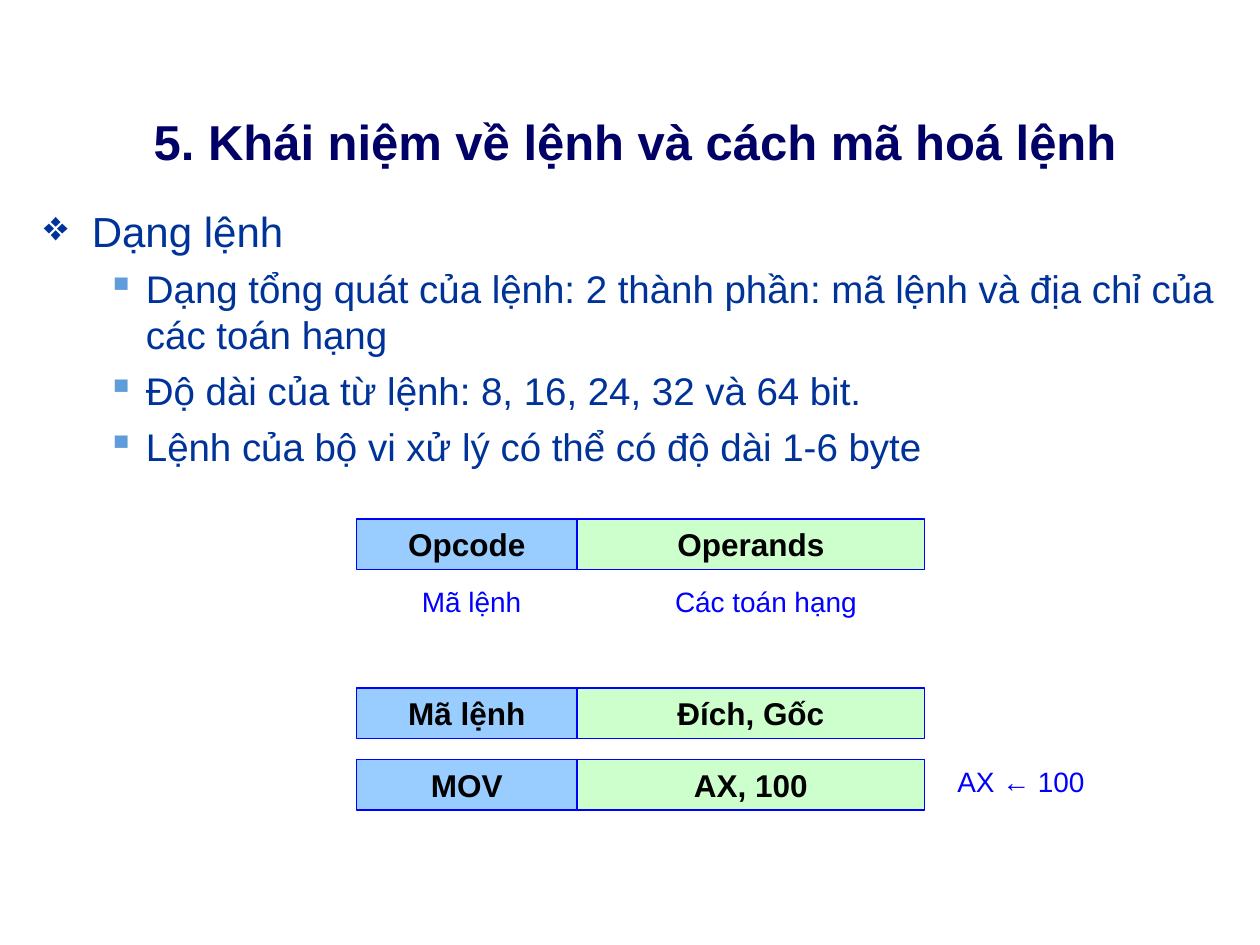
from dataclasses import dataclass

from lxml.etree import SubElement
from pptx import Presentation
from pptx.dml.color import RGBColor
from pptx.enum.shapes import MSO_SHAPE as Shape
from pptx.enum.text import MSO_ANCHOR as Anchor, PP_ALIGN as Align
from pptx.oxml.ns import qn
from pptx.util import Inches, Pt


@dataclass(frozen=True)
class Theme:
    font: str = "Arial"
    title_color: str = "000066"
    body_color: str = "003399"
    sub_bullet_color: str = "5E9CDA"
    opcode_fill: str = "99CCFF"
    operand_fill: str = "CCFFCC"
    cell_text: str = "000000"
    accent: str = "0000FF"
    title_size: float = 28
    body_size: float = 24
    sub_size: float = 22
    cell_size: float = 18
    caption_size: float = 16


class InstructionSlide:
    def __init__(self, slide, theme):
        self.slide = slide
        self.theme = theme

    def style(self, paragraph, size, color, bold=False):
        font = paragraph.font
        font.name = self.theme.font
        font.size = Pt(size)
        font.bold = bold
        font.color.rgb = RGBColor.from_string(color)

    def text_frame(self, left, top, width, height, anchor=Anchor.TOP):
        box = self.slide.shapes.add_textbox(
            Inches(left), Inches(top), Inches(width), Inches(height))
        frame = box.text_frame
        frame.word_wrap = True
        frame.vertical_anchor = anchor
        return frame

    def title(self, text, *bounds):
        paragraph = self.text_frame(*bounds, Anchor.MIDDLE).paragraphs[0]
        paragraph.text = text
        paragraph.alignment = Align.CENTER
        self.style(paragraph, self.theme.title_size, self.theme.title_color, True)

    def caption(self, text, *bounds):
        paragraph = self.text_frame(*bounds).paragraphs[0]
        paragraph.text = text
        self.style(paragraph, self.theme.caption_size, self.theme.accent)

    def bullet(self, paragraph, symbol, color, indent, hanging):
        properties = paragraph._p.get_or_add_pPr()
        properties.set("marL", str(Inches(indent)))
        properties.set("indent", str(-Inches(hanging)))
        bullet_color = SubElement(properties, qn("a:buClr"))
        SubElement(bullet_color, qn("a:srgbClr"), val=color)
        SubElement(properties, qn("a:buChar"), char=symbol)

    def outline(self, heading, points, *bounds):
        """Add a heading with its second-level points."""
        theme = self.theme
        frame = self.text_frame(*bounds)
        paragraph = frame.paragraphs[0]
        paragraph.text = heading
        paragraph.space_before = Pt(6)
        self.style(paragraph, theme.body_size, theme.body_color)
        self.bullet(paragraph, "❖", theme.body_color, 0.38, 0.38)
        for point in points:
            paragraph = frame.add_paragraph()
            paragraph.text = point
            paragraph.level = 1
            paragraph.space_before = Pt(5.5)
            self.style(paragraph, theme.sub_size, theme.body_color)
            self.bullet(paragraph, "▪", theme.sub_bullet_color, 0.81, 0.31)

    def cell(self, text, fill, left, top, width, height):
        shape = self.slide.shapes.add_shape(
            Shape.RECTANGLE, Inches(left), Inches(top), Inches(width), Inches(height))
        shape.shadow.inherit = False
        shape.fill.solid()
        shape.fill.fore_color.rgb = RGBColor.from_string(fill)
        shape.line.color.rgb = RGBColor.from_string(self.theme.accent)
        shape.line.width = Pt(0.75)
        shape.text_frame.vertical_anchor = Anchor.MIDDLE
        paragraph = shape.text_frame.paragraphs[0]
        paragraph.text = text
        paragraph.alignment = Align.CENTER
        self.style(paragraph, self.theme.cell_size, self.theme.cell_text, True)

    def instruction(self, opcode, operands, top):
        """Add one instruction word: opcode field beside operand field."""
        left, opcode_width, operand_width, height = 2.83, 1.75, 2.76, 0.4
        self.cell(opcode, self.theme.opcode_fill, left, top, opcode_width, height)
        self.cell(operands, self.theme.operand_fill,
                  left + opcode_width, top, operand_width, height)


def main():
    presentation = Presentation()
    presentation.slide_width = Inches(10)
    presentation.slide_height = Inches(7.5)
    slide = presentation.slides.add_slide(presentation.slide_layouts[6])
    page = InstructionSlide(slide, Theme())

    page.title("5. Khái niệm về lệnh và cách mã hoá lệnh", 0.25, 0.83, 9.58, 0.57)
    page.outline("Dạng lệnh", [
        "Dạng tổng quát của lệnh: 2 thành phần: mã lệnh và địa chỉ của các toán hạng",
        "Độ dài của từ lệnh: 8, 16, 24, 32 và 64 bit.",
        "Lệnh của bộ vi xử lý có thể có độ dài 1-6 byte",
    ], 0.25, 1.58, 9.58, 2.42)

    for opcode, operands, top in [
        ("Opcode", "Operands", 4.12),
        ("Mã lệnh", "Đích, Gốc", 5.46),
        ("MOV", "AX, 100", 6.03),
    ]:
        page.instruction(opcode, operands, top)

    for text, left, top, width in [
        ("Mã lệnh", 3.25, 4.59, 1.17),
        ("Các toán hạng", 5.26, 4.59, 1.74),
        ("AX ← 100", 7.5, 6.02, 1.83),
    ]:
        page.caption(text, left, top, width, 0.37)

    presentation.save("out.pptx")


if __name__ == "__main__":
    main()
